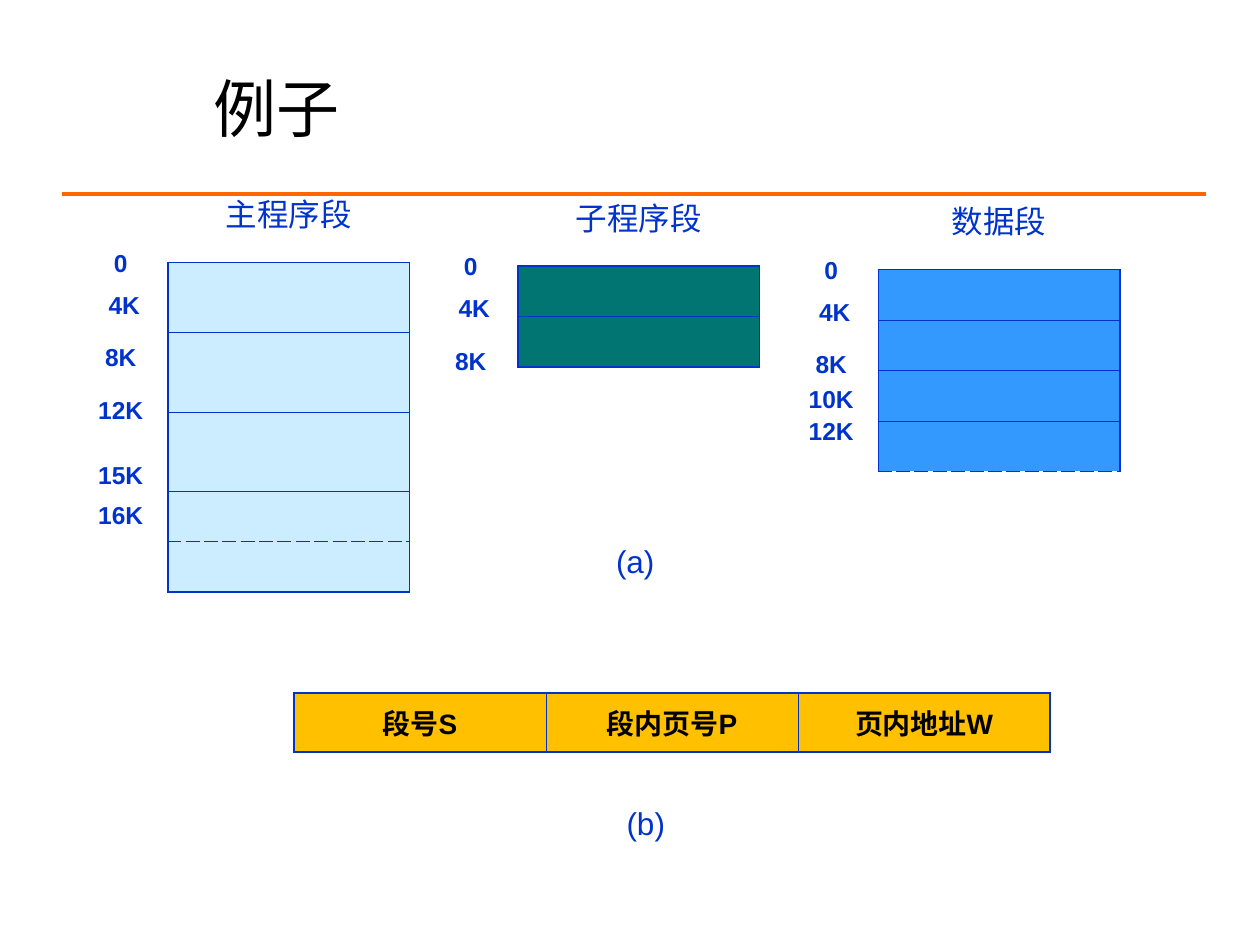
from lxml import etree
from pptx import Presentation
from pptx import util as u
from pptx.dml.color import RGBColor
from pptx.enum import shapes, text
from pptx.oxml.ns import qn

CELL = u.Inches(1) / 36  # the page is a grid of 360 columns by 270 rows
INK = "0033CC"
THICK, THIN = 1.08, 0.45


def grid(*lengths):
    return [round(length * CELL) for length in lengths]


def color(value):
    return RGBColor.from_string(value)


def write(frame, words, size, ink=INK, bold=False, align=text.PP_ALIGN.CENTER):
    para = frame.paragraphs[0]
    para.text = words
    para.alignment = align
    font = para.font
    font.name, font.size, font.bold = "Arial", u.Pt(size), bold
    font.color.rgb = color(ink)


def add_label(page, box, words, size, **look):
    frame = page.shapes.add_textbox(*grid(*box)).text_frame
    frame.word_wrap = True
    frame.vertical_anchor = text.MSO_ANCHOR.MIDDLE
    write(frame, words, size, **look)


def set_border(cell, side, width, dash="solid"):
    line = etree.SubElement(cell._tc.get_or_add_tcPr(), qn("a:ln" + side),
                            w=str(u.Pt(width)))
    fill = etree.SubElement(line, qn("a:solidFill"))
    etree.SubElement(fill, qn("a:srgbClr"), val=INK)
    etree.SubElement(line, qn("a:prstDash"), val=dash)


def add_cells(page, left, top, widths, heights, fill, dashed=None):
    """Table with a thick frame and thin inner lines; `dashed` is one row line."""
    rows, cols = len(heights), len(widths)
    table = page.shapes.add_table(
        rows, cols, *grid(left, top, sum(widths), sum(heights))).table
    table.first_row = table.horz_banding = False
    for column, width in zip(table.columns, grid(*widths)):
        column.width = width
    for row, height in zip(table.rows, grid(*heights)):
        row.height = height
    for r in range(rows):
        for c in range(cols):
            cell = table.cell(r, c)
            for side, edge, last in (("L", c, cols), ("R", c + 1, cols)):
                set_border(cell, side, THICK if edge in (0, last) else THIN)
            for side, edge in (("T", r), ("B", r + 1)):
                if edge == dashed:
                    set_border(cell, side, THIN, "dash")
                else:
                    set_border(cell, side, THICK if edge in (0, rows) else THIN)
            cell.fill.solid()
            cell.fill.fore_color.rgb = color(fill)
    return table


def add_segment(page, left, top, name, heights, fill, marks, dashed=None):
    """Memory segment: page rows, a name above and addresses at the left."""
    add_cells(page, left, top, [69], heights, fill, dashed)
    add_label(page, (left + 12, top - 21, 45, 14.4), name, 18)
    for words, offset in marks.items():
        shift = 23 if words == "4K" else 24
        add_label(page, (left - shift, top + offset, 21, 12), words, 14, bold=True)


def add_address(page, left, top, fields):
    """Logical address: one row of equal fields."""
    table = add_cells(page, left, top, [72] * len(fields), [16.8], "FFC000")
    for cell, words in zip(table.rows[0].cells, fields):
        cell.vertical_anchor = text.MSO_ANCHOR.MIDDLE
        write(cell.text_frame, words, 16, ink="000000", bold=True)


def add_heading(page, box, words):
    """Heading with the orange rule below it."""
    rule = page.shapes.add_connector(
        shapes.MSO_CONNECTOR.STRAIGHT, *grid(17.7, 55.4, 344.6, 55.4))
    rule.line.color.rgb = color("FF6600")
    rule.line.width = u.Pt(2.25)
    etree.SubElement(rule._element.spPr, qn("a:effectLst"))
    add_label(page, box, words, 36, ink="000000", align=text.PP_ALIGN.LEFT)


def main():
    deck = Presentation()
    deck.slide_width, deck.slide_height = grid(360, 270)
    page = deck.slides.add_slide(deck.slide_layouts[6])
    add_heading(page, (57.6, 18.7, 278, 24), "例子")

    # Part (a): the three segments
    start = {"0": -6, "4K": 6, "8K": 21}
    add_segment(page, 48, 75, "主程序段", [20, 22.7, 22.7, 13.2, 8], "CCECFF",
                {**start, "12K": 36, "15K": 54.6, "16K": 66}, dashed=4)
    add_segment(page, 148, 76, "子程序段", [13.2] * 2, "007572", start)
    add_segment(page, 251, 77, "数据段", [13.2, 13.2, 8, 8], "3399FF",
                {**start, "10K": 31, "12K": 40}, dashed=4)
    add_label(page, (159, 153, 45, 14.4), "(a)", 18)

    # Part (b): the address layout
    add_address(page, 84, 198, ["段号S", "段内页号P", "页内地址W"])
    add_label(page, (162, 228, 45, 14.4), "(b)", 18)
    deck.save("out.pptx")


if __name__ == "__main__":
    main()
